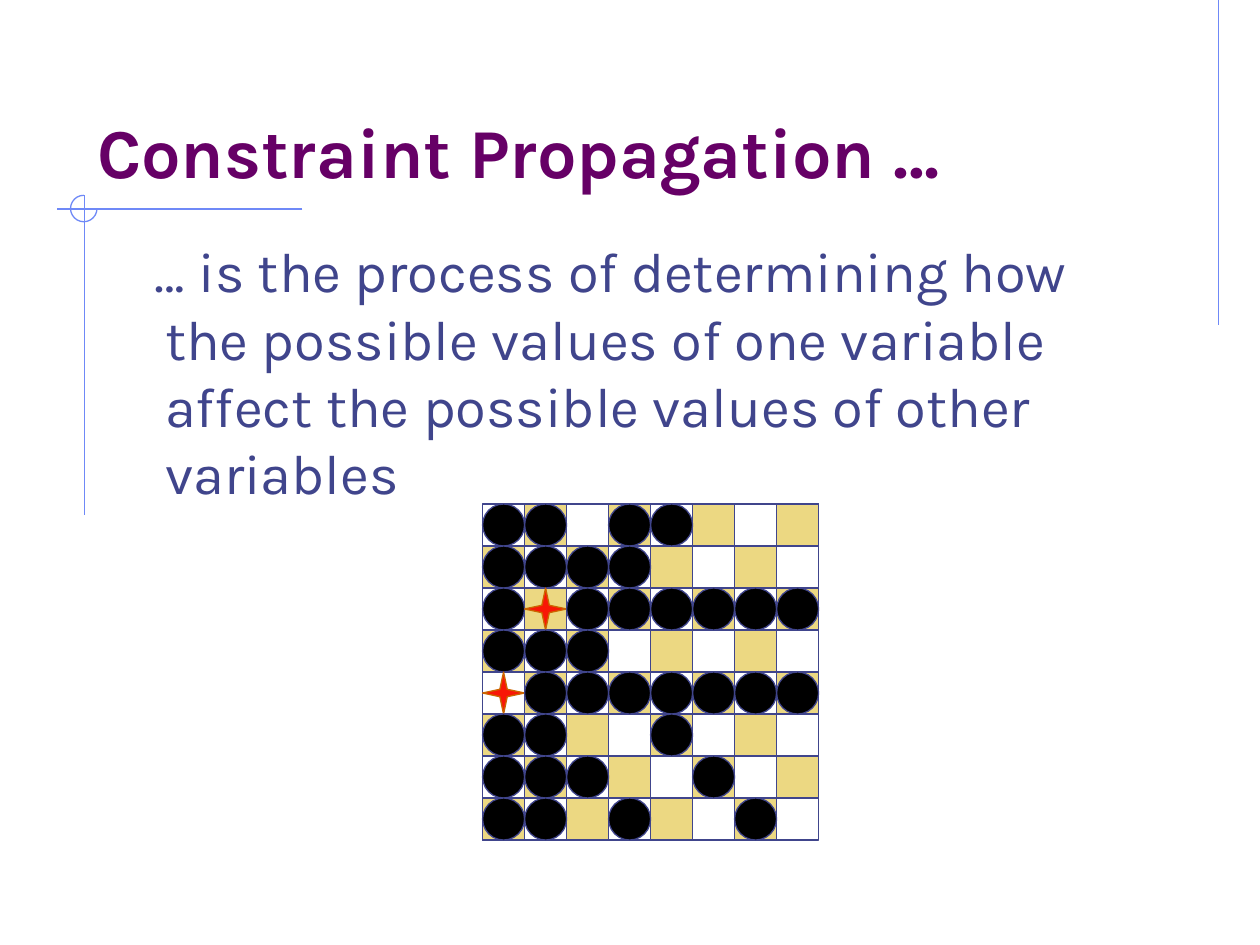
from lxml.etree import SubElement
from pptx import Presentation
from pptx.dml.color import RGBColor
from pptx.enum.shapes import MSO_CONNECTOR, MSO_SHAPE
from pptx.enum.text import MSO_ANCHOR, MSO_AUTO_SIZE, PP_ALIGN
from pptx.oxml.ns import qn
from pptx.util import Inches, Pt

PURPLE = RGBColor(0x66, 0x00, 0x66)
INDIGO = RGBColor(0x40, 0x45, 0x8C)
SKY = RGBColor(0x6F, 0x89, 0xF7)
SAND = RGBColor(0xEC, 0xD8, 0x82)
RED = RGBColor(0xF8, 0x17, 0x06)
ORANGE = RGBColor(0xCC, 0x66, 0x00)
BLACK = RGBColor(0x00, 0x00, 0x00)

FONT = "Karla"
BOARD_LEFT, BOARD_TOP = 3.83, 4
SQUARE = 1 / 3

# Q is a queen, x an excluded square, . a square that is still possible
BOARD = [
    "xx.xx...",
    "xxxx....",
    "xQxxxxxx",
    "xxx.....",
    "Qxxxxxxx",
    "xx..x...",
    "xxx..x..",
    "xx.x..x.",
]


def add_rule(slide, x1, y1, x2, y2):
    rule = slide.shapes.add_connector(
        MSO_CONNECTOR.STRAIGHT, Inches(x1), Inches(y1), Inches(x2), Inches(y2))
    rule.line.color.rgb = SKY
    rule.line.width = Pt(0.75)
    SubElement(rule._element.spPr, qn("a:effectLst"))


def add_figure(slide, kind, left, top, size, line, fill=None):
    figure = slide.shapes.add_shape(
        kind, Inches(left), Inches(top), Inches(size), Inches(size))
    figure.shadow.inherit = False
    if fill is None:
        figure.fill.background()
    else:
        figure.fill.solid()
        figure.fill.fore_color.rgb = fill
    figure.line.color.rgb = line
    figure.line.width = Pt(0.75)
    return figure


def fill_placeholder(holder, box, text, size, color, anchor, bold=False):
    holder.left, holder.top, holder.width, holder.height = map(Inches, box)
    frame = holder.text_frame
    frame.text = text
    frame.word_wrap = True
    frame.auto_size = MSO_AUTO_SIZE.NONE
    frame.vertical_anchor = anchor
    paragraph = frame.paragraphs[0]
    paragraph.alignment = PP_ALIGN.LEFT
    paragraph.space_before = Pt(0)
    properties = paragraph._p.get_or_add_pPr()
    SubElement(properties, qn("a:buNone"))
    font = paragraph.font
    font.name, font.size, font.bold = FONT, Pt(size), bold
    font.color.rgb = color
    return properties


def add_decoration(slide):
    add_rule(slide, 9.67, 0, 9.67, 2.58)
    add_rule(slide, 2.4, 1.66, 0.45, 1.66)
    add_rule(slide, 0.67, 1.55, 0.67, 4.09)
    # Three quarters of a circle, open at the top right
    arc = add_figure(slide, MSO_SHAPE.ARC, 0.56, 1.55, 0.21, SKY)
    arc.adjustments[0], arc.adjustments[1] = 0, 162


def add_board(slide):
    add_figure(slide, MSO_SHAPE.RECTANGLE, BOARD_LEFT, BOARD_TOP,
               SQUARE * len(BOARD), INDIGO)
    squares = [(row, col, mark) for row, marks in enumerate(BOARD)
               for col, mark in enumerate(marks)]

    def place(kind, row, col, line, fill):
        return add_figure(slide, kind, BOARD_LEFT + col * SQUARE,
                          BOARD_TOP + row * SQUARE, SQUARE, line, fill)

    # Dark squares first, so that the pieces lie on top
    for row, col, _ in squares:
        if (row + col) % 2:
            place(MSO_SHAPE.RECTANGLE, row, col, INDIGO, SAND)
    for row, col, mark in squares:
        if mark == "Q":
            queen = place(MSO_SHAPE.STAR_4_POINT, row, col, ORANGE, RED)
            queen.adjustments[0] = 0.125
        elif mark == "x":
            place(MSO_SHAPE.OVAL, row, col, INDIGO, BLACK)


def main():
    prs = Presentation()
    prs.slide_width, prs.slide_height = Inches(10), Inches(7.5)
    slide = prs.slides.add_slide(prs.slide_layouts[1])
    add_decoration(slide)

    # Title and definition
    fill_placeholder(slide.shapes.title, (0.67, 0.33, 8.5, 1.25),
                     "Constraint Propagation …", 40, PURPLE,
                     MSO_ANCHOR.BOTTOM, bold=True)
    definition = fill_placeholder(
        slide.placeholders[1], (0.83, 1.83, 8.5, 4.5),
        "… is the process of determining how the possible values of one "
        "variable affect the possible values of other variables",
        32, INDIGO, MSO_ANCHOR.TOP)
    definition.set("marL", str(Inches(0.38)))
    definition.set("indent", str(Inches(-0.08)))

    add_board(slide)
    prs.save("out.pptx")


if __name__ == "__main__":
    main()
